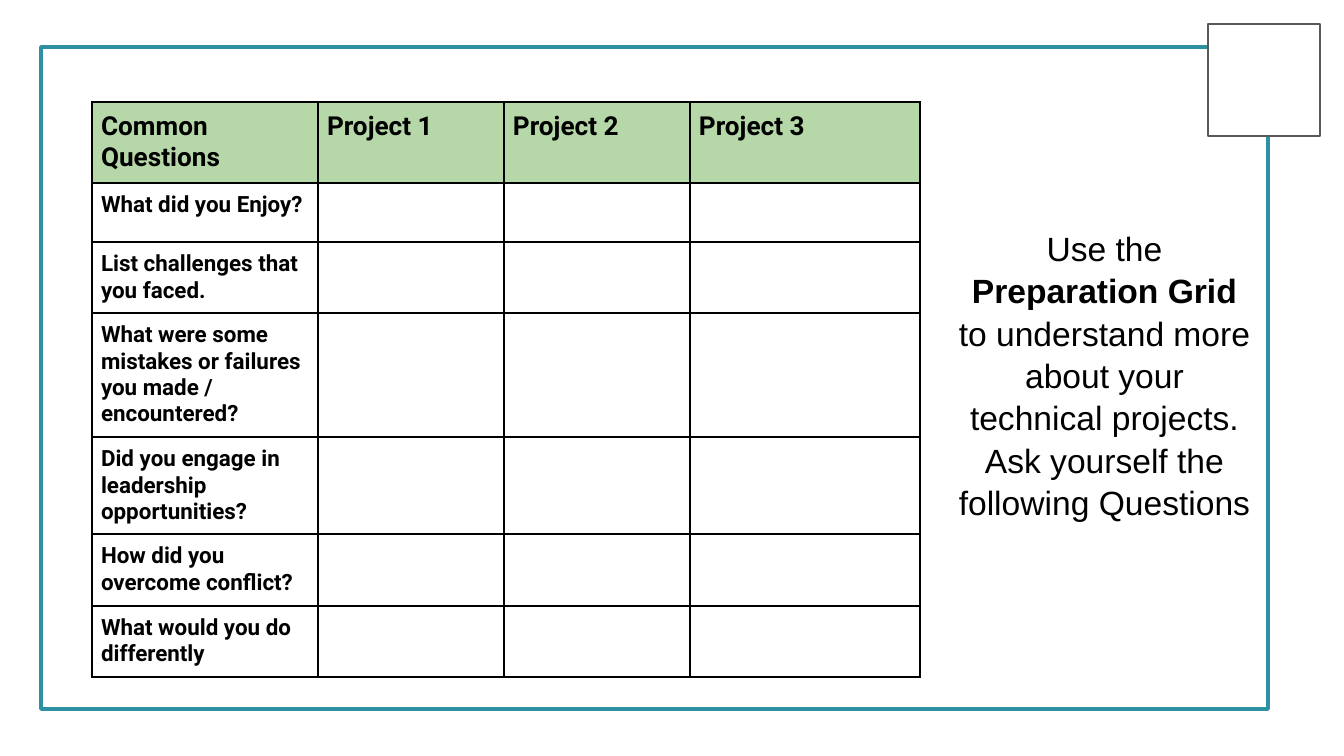
"""Build a slide with a project preparation grid and its instruction."""
from lxml import etree
from pptx import Presentation
from pptx.dml.color import RGBColor
from pptx.enum.shapes import MSO_SHAPE
from pptx.enum.text import PP_ALIGN
from pptx.oxml.ns import qn
from pptx.util import Pt

RECTANGLE = MSO_SHAPE.RECTANGLE
CENTER = PP_ALIGN.CENTER
BLANK_LAYOUT = 6
EMU_PER_PX = 914400 / 134.4
COLORS = {
    "frame": "2E91A3",
    "square_line": "595959",
    "white": "FFFFFF",
    "header": "B6D7A8",
    "ink": "000000",
}
COLUMN_WIDTHS = [226, 186, 186, 230]
ROW_HEIGHTS = [81, 56, 71, 124, 97, 72, 71]
HEADERS = ["Common Questions", "Project 1", "Project 2", "Project 3"]
QUESTIONS = [
    "What did you Enjoy?",
    "List challenges that you faced.",
    "What were some mistakes or failures you made / encountered?",
    "Did you engage in leadership opportunities?",
    "How did you overcome conflict?",
    "What would you do differently",
]
INSTRUCTION = [
    ("Use the ", False),
    ("Preparation Grid ", True),
    ("to understand more about your technical projects. Ask yourself the following Questions", False),
]


def px(length):
    """Turn whole pixels into EMU."""
    return round(length * EMU_PER_PX)


def color(name):
    """Look up a named colour."""
    return RGBColor.from_string(COLORS[name])


def set_values(target, values):
    """Set each attribute of the target from a dict."""
    for name, value in values.items():
        setattr(target, name, value)


def add_span(para, text, **values):
    """Append a run in the ink colour with the given font values."""
    span = para.add_run()
    span.text = text
    set_values(span.font, values)
    span.font.color.rgb = color("ink")


def add_rectangle(page, area, line, weight, fill=None):
    """Draw an outlined rectangle, filled only when a colour is named."""
    box = page.shapes.add_shape(RECTANGLE, *map(px, area))
    box.shadow.inherit = False
    if fill:
        box.fill.solid()
        box.fill.fore_color.rgb = color(fill)
    else:
        box.fill.background()
    box.line.color.rgb = color(line)
    box.line.width = Pt(weight)


def add_borders(cell):
    """Put a thin solid line on all four sides of a cell."""
    properties = cell._tc.get_or_add_tcPr()
    for position, side in enumerate(("a:lnL", "a:lnR", "a:lnT", "a:lnB")):
        line = etree.Element(qn(side), w=str(Pt(1)))
        fill = etree.SubElement(line, qn("a:solidFill"))
        etree.SubElement(fill, qn("a:srgbClr"), val=COLORS["ink"])
        properties.insert(position, line)


def format_cell(cell, text, is_header):
    """Fill, pad, outline and label one grid cell."""
    sides = ("left", "right", "top", "bottom")
    set_values(cell, {f"margin_{side}": px(9) for side in sides})
    if is_header:
        cell.fill.solid()
        cell.fill.fore_color.rgb = color("header")
    else:
        cell.fill.background()
    add_borders(cell)
    if text:
        size = Pt(14 if is_header else 12)
        add_span(cell.text_frame.paragraphs[0], text, name="Roboto", size=size, bold=True)


def add_grid(page, left, top):
    """Add the table of questions against projects."""
    rows = [HEADERS] + [[question, "", "", ""] for question in QUESTIONS]
    area = (left, top, sum(COLUMN_WIDTHS), sum(ROW_HEIGHTS))
    grid = page.shapes.add_table(len(rows), len(HEADERS), *map(px, area)).table
    for column, width in zip(grid.columns, COLUMN_WIDTHS):
        column.width = px(width)
    for row, height, texts in zip(grid.rows, ROW_HEIGHTS, rows):
        row.height = px(height)
        for cell, text in zip(row.cells, texts):
            format_cell(cell, text, texts is HEADERS)


def add_instruction(page, area):
    """Add the centred instruction beside the grid."""
    frame = page.shapes.add_textbox(*map(px, area)).text_frame
    set_values(frame, {
        "word_wrap": True,
        "margin_left": px(13),
        "margin_right": px(13),
        "margin_top": px(109),
        "margin_bottom": px(13),
    })
    para = frame.paragraphs[0]
    set_values(para, {"alignment": CENTER, "line_spacing": 1.05})
    for text, bold in INSTRUCTION:
        add_span(para, text, name="Arial", size=Pt(18), bold=bold)


def main():
    """Build and save the deck."""
    deck = Presentation()
    set_values(deck, {"slide_width": px(1344), "slide_height": px(756)})
    page = deck.slides.add_slide(deck.slide_layouts[BLANK_LAYOUT])
    add_rectangle(page, (41, 47, 1227, 662), "frame", 2)
    add_rectangle(page, (1208, 24, 112, 112), "square_line", 0.75, "white")
    add_grid(page, 92, 102)
    add_instruction(page, (942, 117, 325, 591))
    deck.save("out.pptx")


if __name__ == "__main__":
    main()
